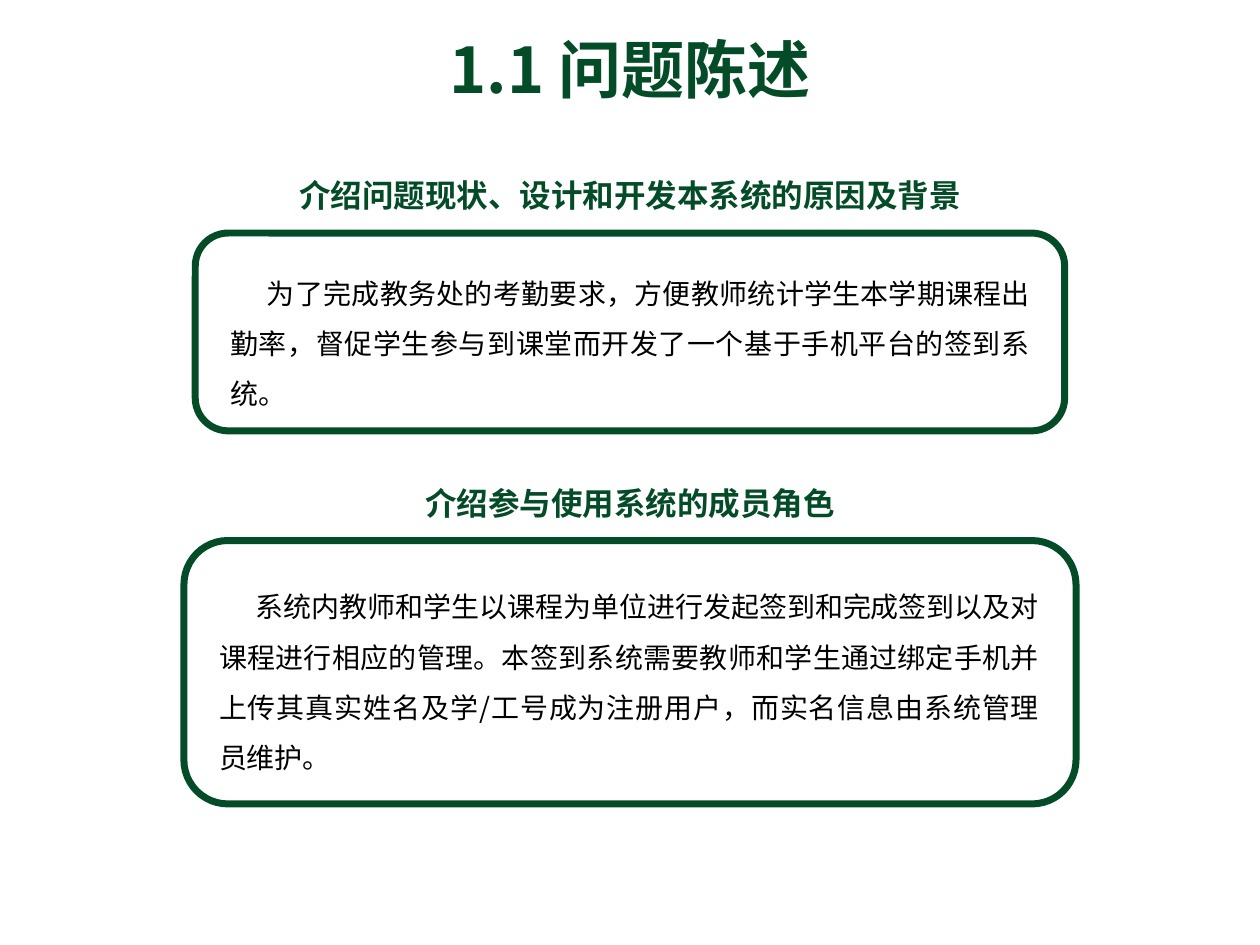
from dataclasses import dataclass
from lxml import etree
from pptx import Presentation
from pptx import util as u
from pptx.dml.color import RGBColor
from pptx.enum import shapes, text
from pptx.oxml import ns

FONT = "Noto Sans CJK SC"
GREEN = "044C27"
BLACK = "000000"
ALIGN = text.PP_ALIGN


@dataclass
class Box:
    left: float
    top: float
    width: float
    height: float

    def place(self) -> list[int]:
        return [u.Inches(v) for v in (self.left, self.top, self.width, self.height)]


@dataclass
class Panel:
    title: str
    head: Box
    body: str
    area: Box
    frame: Box


HEAD = {"alignment": ALIGN.CENTER}
BODY = {"alignment": ALIGN.JUSTIFY, "line_spacing": 1.5, "space_after": u.Pt(10)}

PANELS = [
    Panel("介绍问题现状、设计和开发本系统的原因及背景", Box(2.25, 1.35, 5.5, 0.4),
          "为了完成教务处的考勤要求，方便教师统计学生本学期课程出勤率，"
          "督促学生参与到课堂而开发了一个基于手机平台的签到系统。",
          Box(1.73, 2.01, 6.55, 1.27), Box(1.55, 1.85, 6.9, 1.57)),
    Panel("介绍参与使用系统的成员角色", Box(3.26, 3.79, 3.48, 0.4),
          "系统内教师和学生以课程为单位进行发起签到和完成签到以及对课程进行相应的管理。"
          "本签到系统需要教师和学生通过绑定手机并上传其真实姓名及学/工号成为注册用户，"
          "而实名信息由系统管理员维护。",
          Box(1.64, 4.5, 6.71, 2.23), Box(1.46, 4.29, 7.08, 2.09)),
]


def color(code: str) -> RGBColor:
    return RGBColor.from_string(code)


def write(group, box: Box, words: str, size: int, tone: str, form: dict,
          bold: bool = False, wrap: bool = True, indent: float = 0) -> None:
    frame = group.add_textbox(*box.place()).text_frame
    frame.word_wrap = wrap
    frame.auto_size = text.MSO_AUTO_SIZE.SHAPE_TO_FIT_TEXT
    para = frame.paragraphs[0]
    for key, value in form.items():
        setattr(para, key, value)
    if indent:
        para._p.get_or_add_pPr().set("indent", str(u.Inches(indent)))
    run = para.add_run()
    run.text = words
    for key, value in {"name": FONT, "size": u.Pt(size), "bold": bold}.items():
        setattr(run.font, key, value)
    run.font.color.rgb = color(tone)
    # East Asian letters take their own font entry
    etree.SubElement(run._r.get_or_add_rPr(), ns.qn("a:ea"), typeface=FONT)


def border(group, box: Box) -> None:
    shape = group.add_shape(shapes.MSO_SHAPE.ROUNDED_RECTANGLE, *box.place())
    shape.shadow.inherit = False
    shape.fill.background()
    shape.line.color.rgb = color(GREEN)
    shape.line.width = u.Pt(4)


def draw(slide, panel: Panel) -> None:
    group = slide.shapes.add_group_shape().shapes
    write(group, panel.area, panel.body, 16, BLACK, BODY, indent=0.29)
    border(group, panel.frame)
    write(group, panel.head, panel.title, 18, GREEN, HEAD, bold=True, wrap=False)


def main() -> None:
    deck = Presentation()
    deck.slide_width, deck.slide_height = u.Inches(10), u.Inches(7.5)
    slide = deck.slides.add_slide(deck.slide_layouts[6])

    # Slide title
    write(slide.shapes, Box(2.91, 0.19, 4.18, 0.71), "1.1 问题陈述", 36, GREEN, HEAD, bold=True)

    # Framed panels
    for panel in PANELS:
        draw(slide, panel)

    deck.save("out.pptx")


if __name__ == "__main__":
    main()
